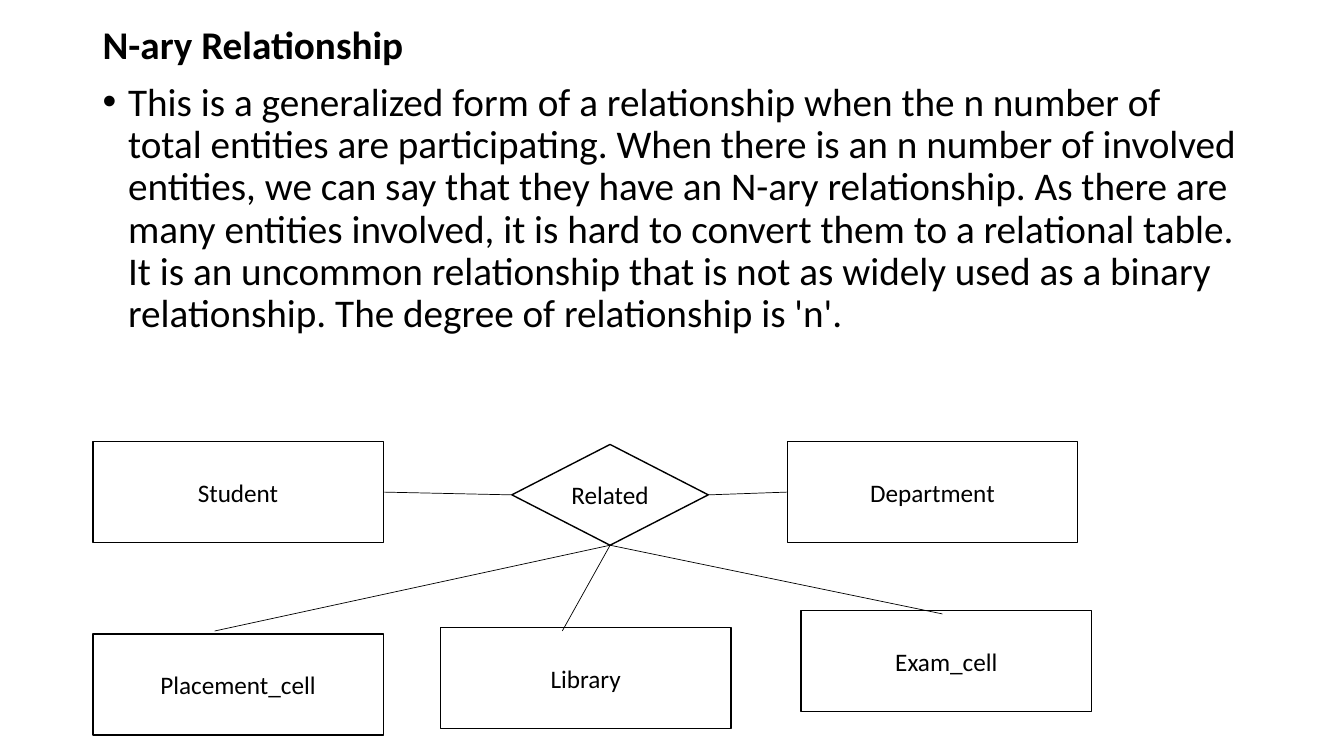
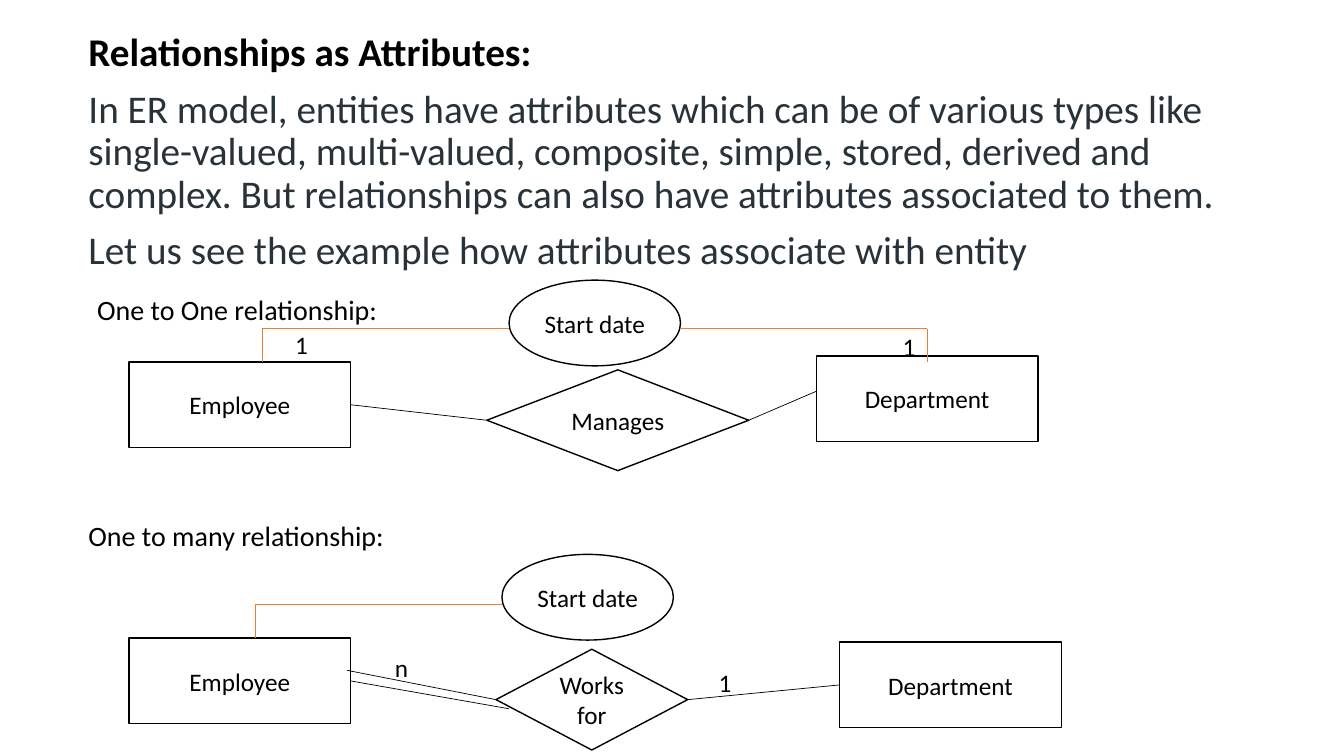
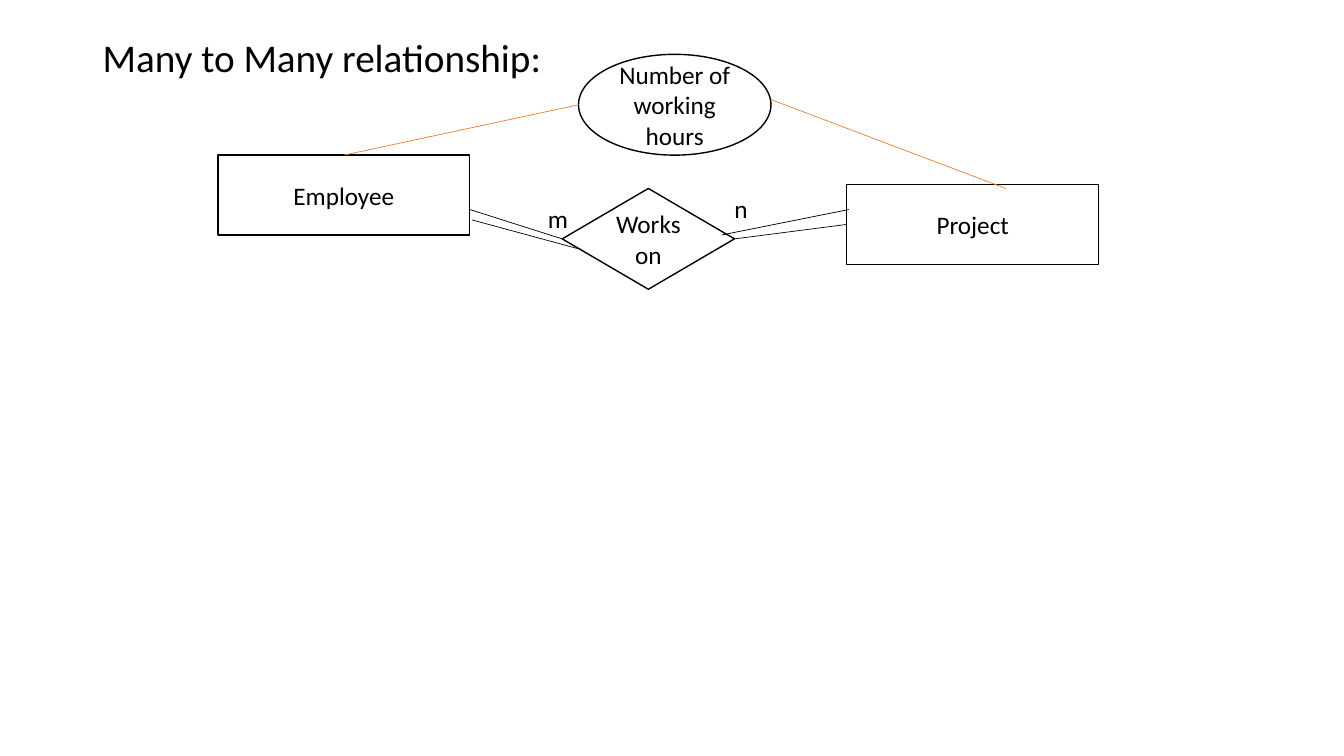
from dataclasses import dataclass
from typing import NamedTuple

from lxml.etree import SubElement
from pptx import Presentation
from pptx.dml.color import RGBColor
from pptx.enum.shapes import MSO_CONNECTOR, MSO_SHAPE
from pptx.enum.text import MSO_ANCHOR, PP_ALIGN
from pptx.oxml.ns import qn
from pptx.util import Cm, Pt

COLORS = {
    "ink": "000000",
    "slate": "273239",
    "paper": "FFFFFF",
    "attribute": "ED7D31",
}
FONT = "Calibri"
BULLET_INDENT = 0.64


class Point(NamedTuple):
    x: float
    y: float


@dataclass
class Node:
    """An entity, relationship or attribute outline; lengths in centimetres."""
    text: str
    left: float
    top: float
    width: float
    height: float
    outline: MSO_SHAPE = MSO_SHAPE.RECTANGLE

    @property
    def left_side(self) -> Point:
        return Point(self.left, self.top + self.height / 2)

    @property
    def right_side(self) -> Point:
        return Point(self.left + self.width, self.top + self.height / 2)

    @property
    def top_side(self) -> Point:
        return Point(self.left + self.width / 2, self.top)

    @property
    def bottom_side(self) -> Point:
        return Point(self.left + self.width / 2, self.top + self.height)


class Link(NamedTuple):
    start: Point
    end: Point
    color: str = "ink"
    weight: float = 0.5


class Label(NamedTuple):
    text: str
    left: float
    top: float


@dataclass
class BodyLine:
    text: str
    bold: bool = False
    color: str = "ink"
    size: float = 28
    space_before: float = 10
    indent: float = 0
    bullet: bool = False


def rgb(name: str) -> RGBColor:
    return RGBColor.from_string(COLORS[name])


def write(paragraph, text: str, *, size: float = 18, color: str = "ink",
          bold: bool = False, align: PP_ALIGN = PP_ALIGN.LEFT) -> None:
    paragraph.alignment = align
    run = paragraph.add_run()
    run.text = text
    run.font.name = FONT
    run.font.size = Pt(size)
    run.font.bold = bold
    run.font.color.rgb = rgb(color)


def indent_paragraph(paragraph, indent: float, bullet: bool) -> None:
    properties = paragraph._p.get_or_add_pPr()
    properties.set("marL", str(Cm(indent)))
    if bullet:
        properties.set("indent", str(-Cm(indent)))
        SubElement(properties, qn("a:buFont")).set("typeface", "Arial")
        SubElement(properties, qn("a:buChar")).set("char", "•")


def add_body(slide, left: float, top: float, width: float, height: float,
             lines: list[BodyLine]) -> None:
    frame = slide.shapes.add_textbox(Cm(left), Cm(top), Cm(width), Cm(height)).text_frame
    frame.word_wrap = True
    for index, line in enumerate(lines):
        paragraph = frame.add_paragraph() if index else frame.paragraphs[0]
        paragraph.line_spacing = 0.9
        paragraph.space_before = Pt(line.space_before)
        write(paragraph, line.text, size=line.size, color=line.color, bold=line.bold)
        if line.indent:
            indent_paragraph(paragraph, line.indent, line.bullet)


def add_node(slide, node: Node) -> None:
    shape = slide.shapes.add_shape(node.outline, Cm(node.left), Cm(node.top),
                                   Cm(node.width), Cm(node.height))
    shape.shadow.inherit = False
    shape.fill.solid()
    shape.fill.fore_color.rgb = rgb("paper")
    shape.line.color.rgb = rgb("ink")
    shape.line.width = Pt(1)
    frame = shape.text_frame
    frame.word_wrap = True
    frame.vertical_anchor = MSO_ANCHOR.MIDDLE
    write(frame.paragraphs[0], node.text, align=PP_ALIGN.CENTER)


def add_link(slide, link: Link) -> None:
    connector = slide.shapes.add_connector(
        MSO_CONNECTOR.STRAIGHT, Cm(link.start.x), Cm(link.start.y),
        Cm(link.end.x), Cm(link.end.y))
    connector.line.color.rgb = rgb(link.color)
    connector.line.width = Pt(link.weight)
    SubElement(connector._element.spPr, qn("a:effectLst"))


def add_label(slide, label: Label) -> None:
    frame = slide.shapes.add_textbox(Cm(label.left), Cm(label.top),
                                     Cm(0.85), Cm(1.02)).text_frame
    frame.word_wrap = False
    write(frame.paragraphs[0], label.text)


def add_diagram(slide, nodes: list[Node], links: list[Link],
                labels: list[Label]) -> None:
    for node in nodes:
        add_node(slide, node)
    for link in links:
        add_link(slide, link)
    for label in labels:
        add_label(slide, label)


def elbow(corner: Point, side: Point, bottom: float) -> list[Link]:
    """Join an attribute's side to an entity below the corner."""
    return [Link(side, corner, "attribute", 1),
            Link(corner, Point(corner.x, bottom), "attribute")]


def build_n_ary(slide) -> None:
    add_body(slide, 2.34, 0.53, 29.21, 16.6, [
        BodyLine("N-ary Relationship", bold=True),
        BodyLine("This is a generalized form of a relationship when the n number of "
                 "total entities are participating. When there is an n number of "
                 "involved entities, we can say that they have an N-ary relationship. "
                 "As there are many entities involved, it is hard to convert them to a "
                 "relational table. It is an uncommon relationship that is not as widely "
                 "used as a binary relationship. The degree of relationship is 'n'.",
                 indent=BULLET_INDENT, bullet=True),
    ])
    size = (7.32, 2.54)
    student = Node("Student", 2.34, 11.13, *size)
    department = Node("Department", 19.84, 11.13, *size)
    placement = Node("Placement_cell", 2.34, 15.98, *size)
    library = Node("Library", 11.1, 15.82, *size)
    exam = Node("Exam_cell", 20.19, 15.39, *size)
    related = Node("Related", 12.9, 11.2, 4.95, 2.54, MSO_SHAPE.DIAMOND)
    lower_ends = [Point(5.41, 15.9), Point(14.17, 15.9), Point(23.75, 15.47)]
    links = [Link(student.right_side, related.left_side),
             Link(related.right_side, department.left_side)]
    links += [Link(related.bottom_side, end) for end in lower_ends]
    add_diagram(slide, [student, placement, library, exam, department, related], links, [])


def build_attributes(slide) -> None:
    add_body(slide, 1.98, 0.71, 29.51, 18.34, [
        BodyLine("Relationships as Attributes:", bold=True),
        BodyLine("In ER model, entities have attributes which can be of various types "
                 "like single-valued, multi-valued, composite, simple, stored, derived "
                 "and complex. But relationships can also have attributes associated "
                 "to them.", color="slate"),
        BodyLine("Let us see the example how attributes associate with entity",
                 color="slate"),
        BodyLine("One to One relationship:", size=20, space_before=16.6, indent=0.22),
        BodyLine("One to many relationship:", size=20, space_before=140),
    ])
    entity_size = (5.59, 2.16)
    date_size = (4.32, 2.16)
    employee = Node("Employee", 3.25, 9.12, *entity_size)
    department = Node("Department", 20.57, 8.97, *entity_size)
    start_date = Node("Start date", 12.83, 7.06, *date_size, MSO_SHAPE.OVAL)
    manages = Node("Manages", 12.27, 9.32, 6.6, 2.54, MSO_SHAPE.DIAMOND)
    many_employee = Node("Employee", 3.25, 16.08, *entity_size)
    many_department = Node("Department", 21.16, 16.18, *entity_size)
    many_start_date = Node("Start date", 12.65, 13.97, *date_size, MSO_SHAPE.OVAL)
    works_for = Node("Works for", 12.5, 16.36, 4.83, 2.54, MSO_SHAPE.DIAMOND)
    upper, lower = 8.28, 15.24
    links = [
        Link(employee.right_side, manages.left_side),
        Link(manages.right_side, Point(department.left, 9.86)),
        Link(works_for.right_side, many_department.left_side),
        Link(Point(8.74, 16.89), works_for.left_side),
        Link(many_employee.right_side, Point(12.83, 17.86)),
        *elbow(Point(6.6, upper), Point(start_date.left, upper), employee.top),
        *elbow(Point(23.37, upper), Point(start_date.right_side.x, upper), employee.top),
        *elbow(Point(6.43, lower), Point(many_start_date.left, lower), many_employee.top),
    ]
    add_diagram(
        slide,
        [employee, many_department, many_employee, department, start_date,
         many_start_date, manages, works_for],
        links,
        [Label("1", 7.19, 8.18), Label("1", 22.5, 8.23),
         Label("1", 17.86, 16.69), Label("n", 9.7, 16.31)])


def build_many_to_many(slide) -> None:
    add_body(slide, 2.34, 0.84, 29.21, 16.33, [BodyLine("Many to Many relationship:")])
    entity_size = (6.35, 2.01)
    employee = Node("Employee", 5.49, 3.91, *entity_size)
    project = Node("Project", 21.34, 4.65, *entity_size)
    works_on = Node("Works on", 14.17, 4.75, 4.34, 2.54, MSO_SHAPE.DIAMOND)
    hours = Node("Number of working hours", 14.58, 1.37, 4.85, 2.54, MSO_SHAPE.OVAL)
    links = [
        Link(Point(11.84, 5.28), works_on.left_side),
        Link(Point(11.89, 5.54), Point(14.58, 6.27)),
        Link(Point(18.19, 5.92), Point(21.39, 5.28)),
        Link(works_on.right_side, project.left_side),
        Link(employee.top_side, hours.left_side, "attribute"),
        Link(Point(19.43, 2.51), Point(25.35, 4.75), "attribute"),
    ]
    add_diagram(slide, [employee, project, works_on, hours], links,
                [Label("m", 13.56, 5), Label("n", 18.26, 4.75)])


def main() -> None:
    presentation = Presentation()
    presentation.slide_width = Cm(33.87)
    presentation.slide_height = Cm(19.05)
    blank_layout = presentation.slide_layouts[6]
    for build in (build_n_ary, build_attributes, build_many_to_many):
        build(presentation.slides.add_slide(blank_layout))
    presentation.save("out.pptx")


if __name__ == "__main__":
    main()
